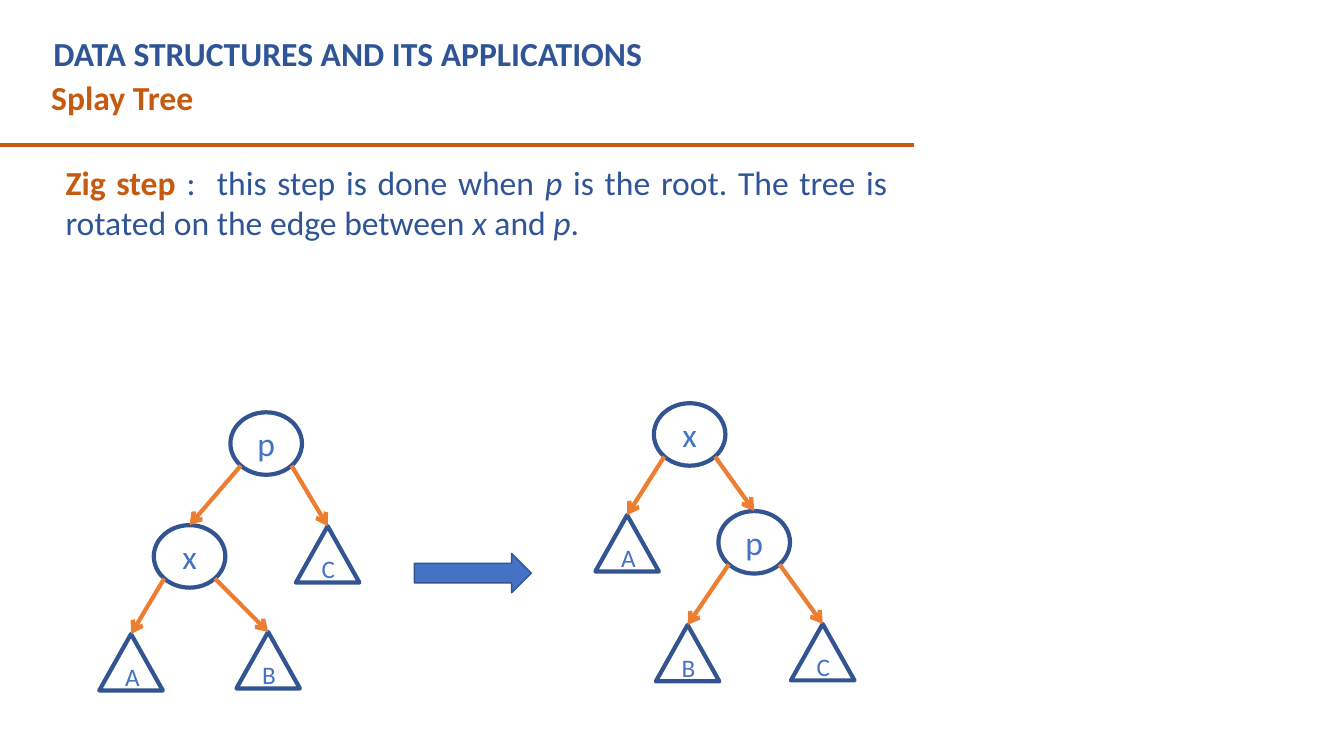
from collections import namedtuple
from math import sqrt

from lxml.etree import SubElement
from pptx import Presentation
from pptx.dml.color import RGBColor
from pptx.enum.shapes import MSO_CONNECTOR as Link, MSO_SHAPE as Preset
from pptx.enum.text import MSO_ANCHOR as Anchor, MSO_AUTO_SIZE as AutoSize, PP_ALIGN as Align
from pptx.oxml.ns import qn
from pptx.util import Inches, Pt

NAVY = RGBColor(0x2F, 0x55, 0x97)
OUTLINE = RGBColor(0x32, 0x54, 0x91)
BLUE = RGBColor(0x44, 0x72, 0xC4)
RUST = RGBColor(0xC5, 0x5A, 0x11)
ORANGE = RGBColor(0xED, 0x7D, 0x31)

Box = namedtuple("Box", "left top width height")
Node = namedtuple("Node", "label center top children", defaults=[()])

NODE_SIZE = (0.71, 0.62)
SUBTREE_SIZE = (0.63, 0.56)

BEFORE = Node("p", 1.66, 0, (
    Node("x", 0.9, 1.12, (Node("A", 0.32, 2.2), Node("B", 1.68, 2.18))),
    Node("C", 2.27, 1.13)))
AFTER = Node("x", 0.94, 0, (
    Node("A", 0.32, 1.11),
    Node("p", 1.58, 1.07, (Node("B", 0.92, 2.2), Node("C", 2.26, 2.19)))))

ZIG_STEP = (
    ("Zig step ", RUST, True, False),
    (":  this step is done when ", NAVY, False, False),
    ("p", NAVY, False, True),
    (" is the root. The tree is rotated on the edge between ", NAVY, False, False),
    ("x", NAVY, False, True),
    (" and ", NAVY, False, False),
    ("p", NAVY, False, True),
    (". ", NAVY, False, False),
)


def style_font(font, size, color, bold=False, italic=False):
    """Set the typeface, size, colour and weight of a font."""
    font.name = "Calibri"
    font.size = Pt(size)
    font.color.rgb = color
    font.bold = bold
    font.italic = italic


def place(shape, box):
    """Move and size a shape to a box given in inches."""
    shape.left, shape.top, shape.width, shape.height = map(Inches, box)


def add_line(shapes, start, end, color, arrow=False):
    """Draw a straight line, with an open arrowhead at its end if asked."""
    line = shapes.add_connector(Link.STRAIGHT, *map(Inches, (*start, *end)))
    line.line.color.rgb = color
    line.line.width = Pt(3)
    if arrow:
        SubElement(line.line._get_or_add_ln(), qn("a:tailEnd"), type="arrow")
    SubElement(line._element.spPr, qn("a:effectLst"))


def fill_heading(shape, box, text, color):
    """Place one bold left-aligned heading line."""
    place(shape, box)
    frame = shape.text_frame
    frame.word_wrap = True
    frame.auto_size = AutoSize.SHAPE_TO_FIT_TEXT
    frame.vertical_anchor = Anchor.TOP
    frame.text = text
    para = frame.paragraphs[0]
    para.alignment = Align.LEFT
    style_font(para.runs[0].font, 24, color, bold=True)


def add_header(page, box):
    """Place the course title, the topic and the rule below them."""
    fill_heading(page.shapes.title, Box(box.left + 0.44, box.top, 8.2, 0.5),
                 "DATA STRUCTURES AND ITS APPLICATIONS", NAVY)
    topic = page.shapes.add_textbox(0, 0, 0, 0)
    fill_heading(topic, Box(box.left + 0.42, box.top + 0.43, 8.75, 0.5), "Splay Tree", RUST)
    bottom = box.top + box.height
    add_line(page.shapes, (box.left, bottom), (box.left + box.width, bottom), RUST)


def fill_description(body, box):
    """Write the justified explanation of the zig step."""
    place(body, box)
    frame = body.text_frame
    frame.word_wrap = True
    frame.auto_size = AutoSize.SHAPE_TO_FIT_TEXT
    frame.vertical_anchor = Anchor.MIDDLE
    frame.margin_top = frame.margin_bottom = 0
    para = frame.paragraphs[0]
    properties = para._p.get_or_add_pPr()
    properties.set("marL", "0")
    properties.set("indent", "0")
    SubElement(properties, qn("a:buNone"))
    para.alignment = Align.JUSTIFY
    para.space_before = Pt(0)
    para.space_after = Pt(6)
    for text, color, bold, italic in ZIG_STEP:
        span = para.add_run()
        span.text = text
        style_font(span.font, 24, color, bold, italic)


def add_node(shapes, node, left, top):
    """Draw a node or subtree with its children, relative to the tree's corner."""
    preset, size, points = ((Preset.OVAL, NODE_SIZE, 24) if node.children
                            else (Preset.ISOSCELES_TRIANGLE, SUBTREE_SIZE, 18))
    width, height = size
    center, node_top = left + node.center, top + node.top
    shape = shapes.add_shape(preset, *map(Inches, (center - width / 2, node_top, width, height)))
    shape.shadow.inherit = False
    shape.fill.background()
    shape.line.color.rgb = OUTLINE
    shape.line.width = Pt(3)
    frame = shape.text_frame
    frame.text = node.label
    frame.vertical_anchor = Anchor.MIDDLE
    para = frame.paragraphs[0]
    para.alignment = Align.CENTER
    style_font(para.runs[0].font, points, BLUE)
    reach = sqrt(0.5)
    for side, child in zip((-1, 1), node.children):
        start = (center + side * width / 2 * reach, node_top + height / 2 * (1 + reach))
        add_node(shapes, child, left, top)
        add_line(shapes, start, (left + child.center, top + child.top), ORANGE, arrow=True)


def add_rotation(page, box):
    """Draw the tree before and after the rotation, with an arrow between."""
    add_node(page.shapes.add_group_shape().shapes, BEFORE, box.left, box.top + 0.09)
    arrow = page.shapes.add_shape(Preset.RIGHT_ARROW, 0, 0, 0, 0)
    place(arrow, Box(box.left + 3.13, box.top + 1.49, 1.16, 0.39))
    arrow.shadow.inherit = False
    arrow.fill.solid()
    arrow.fill.fore_color.rgb = BLUE
    arrow.line.color.rgb = OUTLINE
    arrow.line.width = Pt(1)
    add_node(page.shapes.add_group_shape().shapes, AFTER, box.left + 4.92, box.top)


def main():
    """Build the splay tree slide and save it."""
    deck = Presentation()
    deck.slide_width, deck.slide_height = Inches(13.33), Inches(7.5)
    page = deck.slides.add_slide(deck.slide_layouts[1])
    add_header(page, Box(-0.01, 0.28, 9.08, 1.16))
    fill_description(page.placeholders[1], Box(0.55, 1.6, 8.35, 0.81))
    add_rotation(page, Box(0.98, 4, 7.49, 2.85))
    deck.save("out.pptx")


if __name__ == "__main__":
    main()
